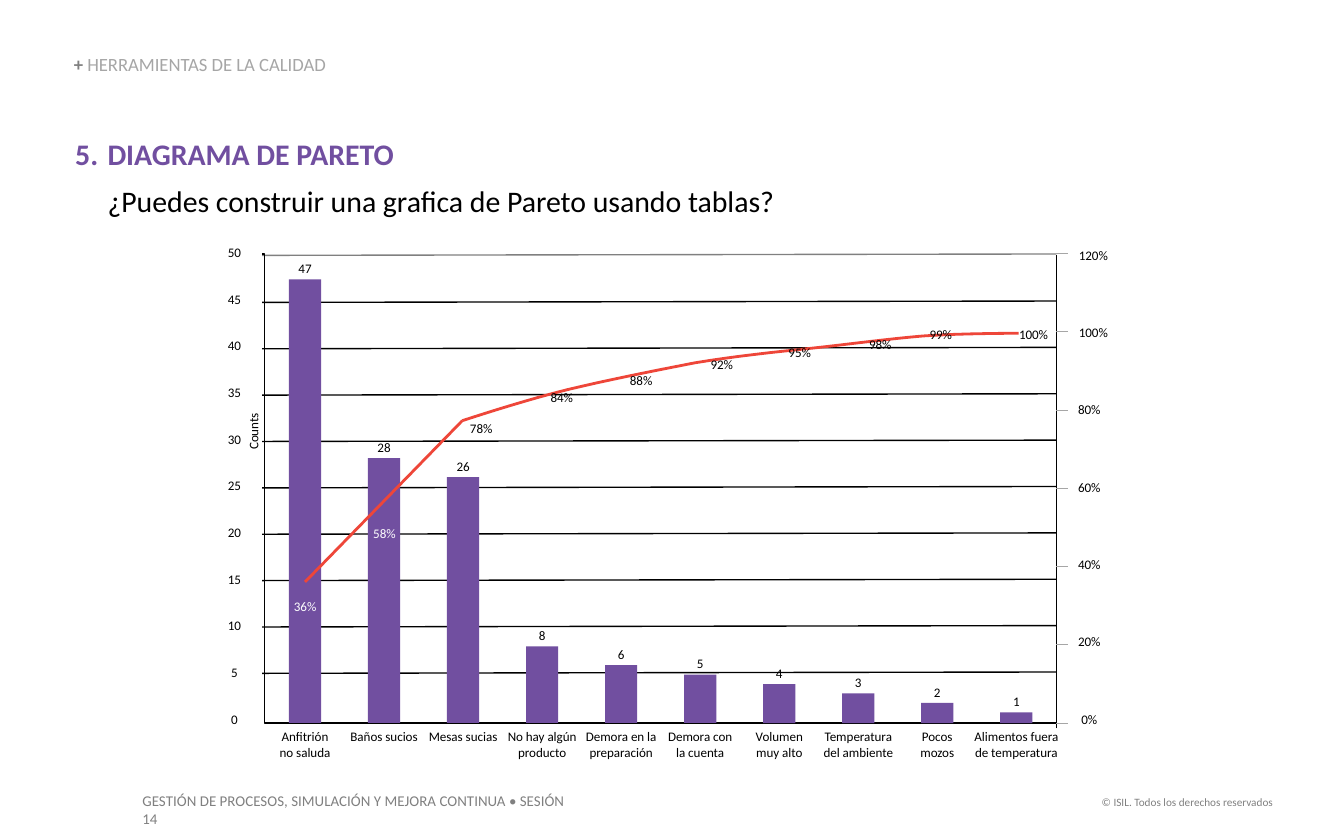
from dataclasses import dataclass

from lxml.etree import SubElement
from pptx import Presentation
from pptx.dml.color import RGBColor
from pptx.enum.shapes import MSO_CONNECTOR, MSO_SHAPE
from pptx.enum.text import MSO_ANCHOR, MSO_AUTO_SIZE, PP_ALIGN
from pptx.oxml.ns import qn
from pptx.util import Inches, Pt


@dataclass(frozen=True)
class Theme:
    font: str = "Calibri"
    purple: str = "714FA0"
    red: str = "EE4639"
    black: str = "000000"
    white: str = "FFFFFF"
    gray: str = "808080"
    light_gray: str = "A6A6A6"
    heading: float = 16
    section: float = 10
    footer: float = 8
    label: float = 7
    copyright: float = 6


THEME = Theme()

# Plot geometry, in inches
AXIS_LEFT, AXIS_RIGHT = 1.95, 7.86
AXIS_TOP, AXIS_BASE = 1.89, 5.38
FIRST_CENTER, CATEGORY_STEP = 2.27, 0.588
BAR_WIDTH, COUNT_HEIGHT = 0.24, 0.07
LABEL_WIDTH, LABEL_HEIGHT = 0.17, 0.12

# Category, count, label width
COMPLAINTS = [
    ("Anfitrión\vno saluda", 47, 0.47),
    ("Baños sucios", 28, 0.6),
    ("Mesas sucias", 26, 0.6),
    ("No hay algún producto", 8, 0.6),
    ("Demora en la preparación", 6, 0.6),
    ("Demora con la cuenta", 5, 0.53),
    ("Volumen muy alto", 4, 0.42),
    ("Temperatura del ambiente", 3, 0.58),
    ("Pocos\vmozos", 2, 0.58),
    ("Alimentos fuera de temperatura", 1, 0.72),
]

# Cumulative percentage, label center and top, colour
CUMULATIVE = [
    (36, 2.27, 4.45, THEME.white), (58, 2.86, 3.91, THEME.white),
    (78, 3.58, 3.13, THEME.black), (84, 4.18, 2.9, THEME.black),
    (88, 4.77, 2.77, THEME.black), (92, 5.37, 2.65, THEME.black),
    (95, 5.95, 2.56, THEME.black), (98, 6.55, 2.5, THEME.black),
    (99, 7, 2.43, THEME.black), (100, 7.69, 2.43, THEME.black),
]

# Bézier points: start, then two controls and an end for each stretch
CUMULATIVE_CURVE = [
    (3.44, 3.13),
    (3.69, 3.05), (3.94, 2.97), (4.22, 2.9),
    (4.51, 2.83), (4.86, 2.76), (5.17, 2.7),
    (5.47, 2.65), (5.76, 2.62), (6.05, 2.59),
    (6.33, 2.56), (6.62, 2.52), (6.87, 2.5),
    (7.13, 2.48), (7.58, 2.48), (7.58, 2.48),
]


def rgb(color):
    return RGBColor.from_string(color)


def style_font(font, size, color, bold=False):
    font.name, font.size, font.bold = THEME.font, Pt(size), bold
    font.color.rgb = rgb(color)


def set_insets(frame, inset, bottom=None):
    frame.margin_left = frame.margin_top = frame.margin_right = Inches(inset)
    frame.margin_bottom = Inches(inset if bottom is None else bottom)


def add_text(slide, text, left, top, width, height, size=THEME.label,
             color=THEME.black, align=PP_ALIGN.CENTER, fill=None):
    box = slide.shapes.add_textbox(Inches(left), Inches(top), Inches(width), Inches(height))
    if fill:
        box.fill.solid()
        box.fill.fore_color.rgb = rgb(fill)
    frame = box.text_frame
    frame.word_wrap = True
    set_insets(frame, 0)
    paragraph = frame.paragraphs[0]
    paragraph.text, paragraph.alignment = text, align
    style_font(paragraph.font, size, color)
    return box


def add_line(slide, start, end, color, width, kind=MSO_CONNECTOR.STRAIGHT):
    line = slide.shapes.add_connector(kind, *map(Inches, (*start, *end)))
    line.line.color.rgb = rgb(color)
    line.line.width = Pt(width)
    SubElement(line._element.spPr, qn("a:effectLst"))
    return line


def add_bar(slide, center, height):
    bar = slide.shapes.add_shape(
        MSO_SHAPE.RECTANGLE, Inches(center - BAR_WIDTH / 2),
        Inches(AXIS_BASE - height), Inches(BAR_WIDTH), Inches(height))
    bar.shadow.inherit = False
    bar.fill.solid()
    bar.fill.fore_color.rgb = rgb(THEME.purple)
    bar.line.fill.background()


def bezier_points(points, steps=8):
    for i in range(0, len(points) - 1, 3):
        for step in range(1, steps + 1):
            t = step / steps
            weights = ((1 - t) ** 3, 3 * t * (1 - t) ** 2, 3 * t * t * (1 - t), t ** 3)
            yield tuple(sum(w * p[axis] for w, p in zip(weights, points[i:i + 4]))
                        for axis in (0, 1))


def add_curve(slide, points):
    start, *rest = [(Inches(x), Inches(y)) for x, y in (points[0], *bezier_points(points))]
    builder = slide.shapes.build_freeform(*start)
    builder.add_line_segments(rest, close=False)
    curve = builder.convert_to_shape()
    curve.shadow.inherit = False
    curve.fill.background()
    curve.line.color.rgb = rgb(THEME.red)
    curve.line.width = Pt(1.5)


def add_heading(slide):
    title = slide.shapes.title
    title.left, title.top, title.width, title.height = map(Inches, (0.56, 1.01, 8.56, 0.67))
    frame = title.text_frame
    frame.text = "DIAGRAMA DE PARETO\n¿Puedes construir una grafica de Pareto usando tablas?"
    frame.auto_size, frame.vertical_anchor = MSO_AUTO_SIZE.NONE, MSO_ANCHOR.TOP
    set_insets(frame, 0, bottom=0.05)
    indent = Inches(0.24)
    topic, question = frame.paragraphs
    for paragraph, first_line in ((topic, -indent), (question, 0)):
        paragraph.alignment, paragraph.space_after = PP_ALIGN.LEFT, Pt(6)
        properties = paragraph._p.get_or_add_pPr()
        properties.set("marL", str(indent))
        properties.set("indent", str(first_line))
    SubElement(topic._p.pPr, qn("a:buAutoNum"), type="arabicPeriod", startAt="5")
    style_font(topic.font, THEME.heading, THEME.purple, bold=True)
    style_font(question.font, THEME.heading, THEME.black)


def add_section_and_footers(slide):
    section = add_text(slide, "", 0.55, 0.41, 2.66, 0.15, align=PP_ALIGN.LEFT)
    section.text_frame.vertical_anchor = MSO_ANCHOR.BOTTOM
    paragraph = section.text_frame.paragraphs[0]
    paragraph.line_spacing = 0.9
    for text, color, bold in (("+ ", THEME.gray, True),
                              ("HERRAMIENTAS DE LA CALIDAD", THEME.light_gray, False)):
        run = paragraph.add_run()
        run.text = text
        style_font(run.font, THEME.section, color, bold)
    add_text(slide, "GESTIÓN DE PROCESOS, SIMULACIÓN Y MEJORA CONTINUA • SESIÓN 14",
             1.06, 5.89, 3.2, 0.24, THEME.footer, THEME.gray, PP_ALIGN.LEFT)
    add_text(slide, "© ISIL. Todos los derechos reservados",
             8.07, 5.92, 1.4, 0.1, THEME.copyright, THEME.gray, PP_ALIGN.RIGHT)


def add_axes(slide):
    # Gridlines and frame
    add_line(slide, (AXIS_RIGHT, AXIS_TOP), (AXIS_LEFT, AXIS_TOP + 0.01), THEME.gray, 0.75)
    for i in range(9):
        y = 5 - 0.345 * i
        add_line(slide, (AXIS_RIGHT, y), (AXIS_LEFT, y + 0.01), THEME.black, 0.75)
    frame = add_line(slide, (AXIS_LEFT, AXIS_TOP), (AXIS_RIGHT, AXIS_BASE),
                     THEME.black, 1, MSO_CONNECTOR.ELBOW)
    adjustments = frame._element.spPr.prstGeom.get_or_add_avLst()
    SubElement(adjustments, qn("a:gd"), name="adj1", fmla="val 300")
    add_line(slide, (AXIS_RIGHT, 5.42), (AXIS_RIGHT, 1.9), THEME.black, 0.75)

    # Count scale
    for i in range(11):
        add_text(slide, str(5 * i), 1.66, 5.29 - 0.347 * i,
                 LABEL_WIDTH, LABEL_HEIGHT, fill=THEME.white)
    counts = add_text(slide, "Counts", 1.73, 3.15, 0.31, LABEL_HEIGHT, fill=THEME.white)
    counts.rotation = 270

    # Percentage scale
    for i in range(7):
        y = AXIS_BASE - 0.582 * i
        add_line(slide, (AXIS_RIGHT, y), (AXIS_RIGHT + 0.09, y), THEME.light_gray, 0.5)
        add_text(slide, f"{20 * i}%", 8.02, 5.29 - 0.575 * i,
                 0.23 if i >= 5 else LABEL_WIDTH, LABEL_HEIGHT, fill=THEME.white)


def add_pareto(slide):
    # Bars with counts and categories
    for i, (category, count, width) in enumerate(COMPLAINTS):
        center = FIRST_CENTER + CATEGORY_STEP * i
        height = COUNT_HEIGHT * count + 0.01
        add_bar(slide, center, height)
        add_text(slide, str(count), center - LABEL_WIDTH / 2, AXIS_BASE - height - 0.14,
                 LABEL_WIDTH, LABEL_HEIGHT)
        add_text(slide, category, center - width / 2, 5.42, width, 0.24)

    # Cumulative line with percentages
    add_line(slide, (FIRST_CENTER, 4.33), CUMULATIVE_CURVE[0], THEME.red, 1.5)
    add_curve(slide, CUMULATIVE_CURVE)
    for percent, center, top, color in CUMULATIVE:
        add_text(slide, f"{percent}%", center - 0.155, top, 0.31, LABEL_HEIGHT, color=color)


def main():
    presentation = Presentation()
    presentation.slide_width, presentation.slide_height = Inches(10), Inches(6.25)
    slide = presentation.slides.add_slide(presentation.slide_layouts[5])
    add_section_and_footers(slide)
    add_heading(slide)
    add_axes(slide)
    add_pareto(slide)
    presentation.save("out.pptx")


if __name__ == "__main__":
    main()
